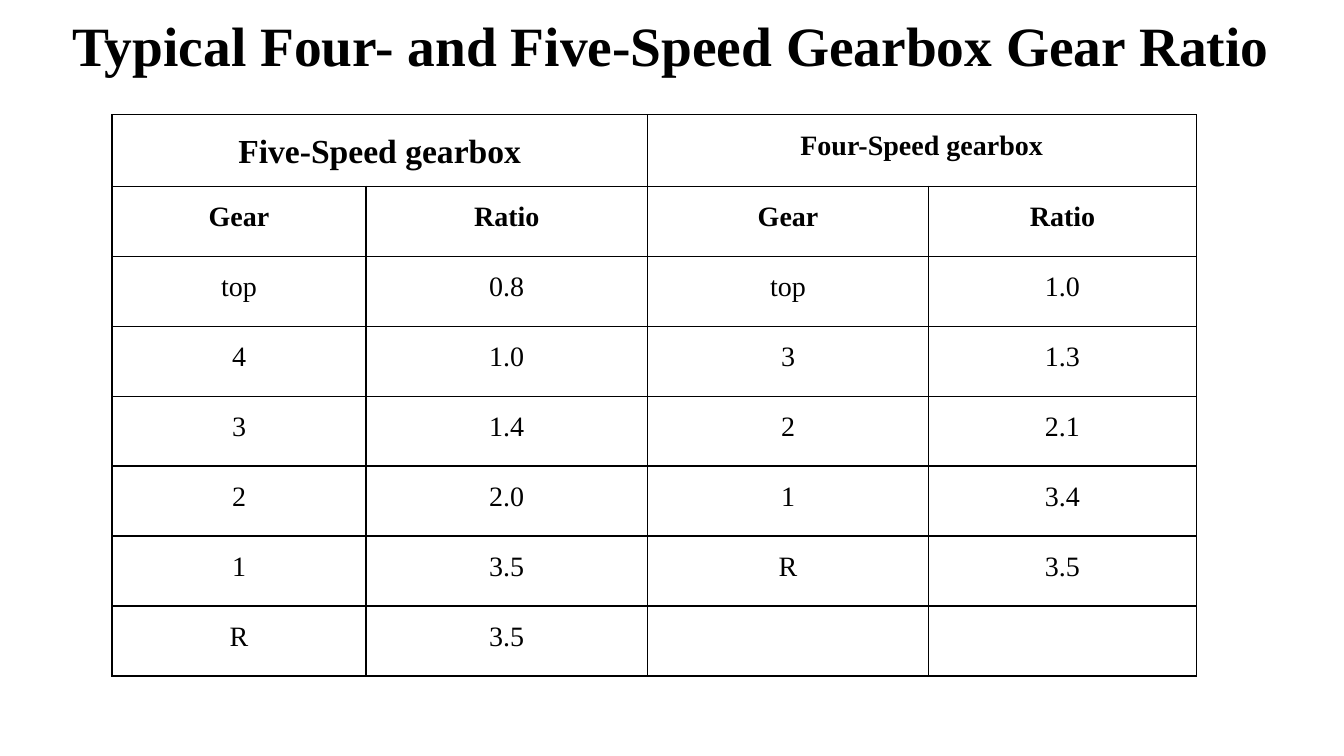
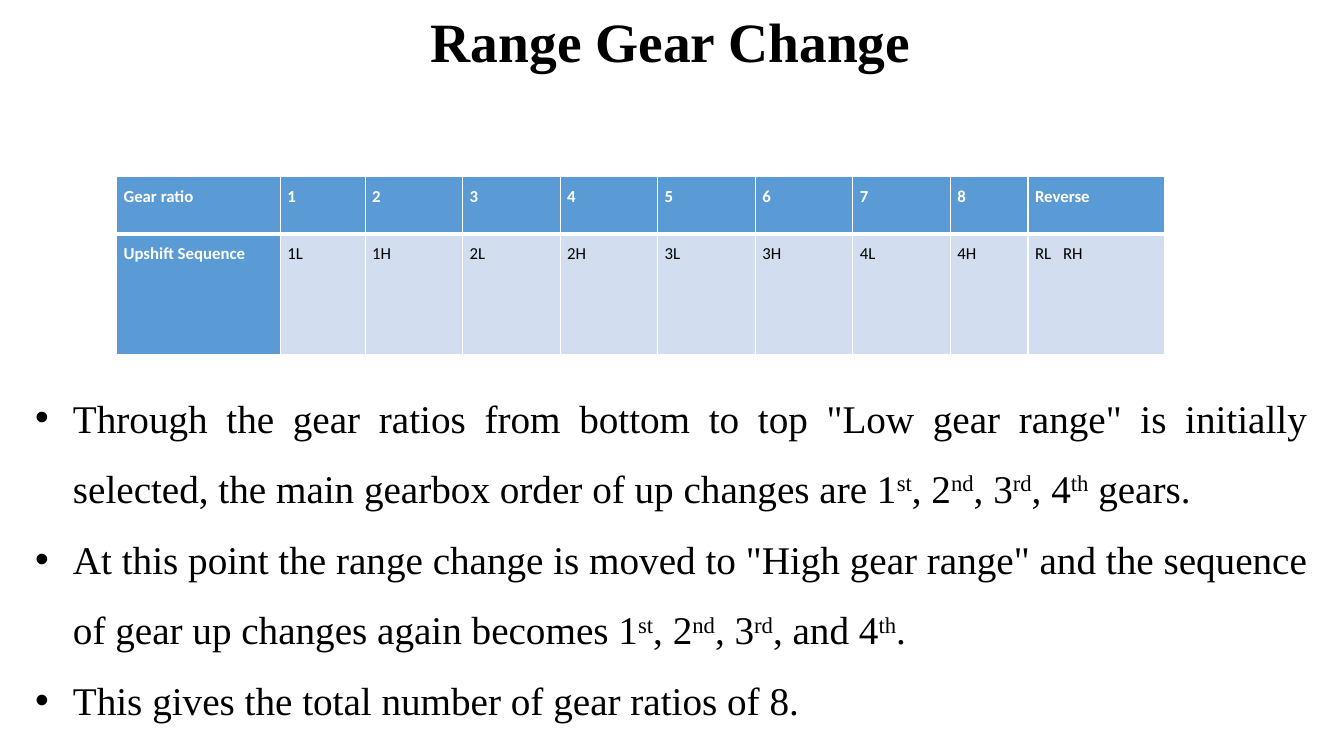
from lxml import etree
from pptx import Presentation
from pptx.dml.color import RGBColor
from pptx.enum.text import MSO_ANCHOR, PP_ALIGN
from pptx.oxml.ns import qn
from pptx.util import Pt

CENTER, JUSTIFY = PP_ALIGN.CENTER, PP_ALIGN.JUSTIFY
MIDDLE = MSO_ANCHOR.MIDDLE
BLACK = RGBColor(0x00, 0x00, 0x00)
WHITE = RGBColor(0xFF, 0xFF, 0xFF)
BLUE = RGBColor(0x5B, 0x9B, 0xD5)
PALE_BLUE = RGBColor(0xD2, 0xDE, 0xEF)
SERIF, SANS = "Times New Roman", "Calibri"
BLANK_LAYOUT = 6

TITLE = {"name": SERIF, "size": Pt(39.6), "bold": True, "color": BLACK}
BODY = {"name": SERIF, "size": Pt(28), "bold": False, "color": BLACK}
RATIO = {**BODY, "size": Pt(20)}
RATIO_HEAD = {**RATIO, "bold": True}
RATIO_MAIN_HEAD = {**RATIO_HEAD, "size": Pt(24)}
SHIFT = {"name": SANS, "size": Pt(12), "bold": False, "color": BLACK}
SHIFT_HEAD = {**SHIFT, "bold": True, "color": WHITE}

CENTERED = {"alignment": CENTER, "line_spacing": 1.5}
JUSTIFIED = {"alignment": JUSTIFY, "line_spacing": 1.5}
SHIFT_PARAGRAPH = {**JUSTIFIED, "space_after": Pt(10)}
CELL_MARGINS = {"margin_left": Pt(5), "margin_right": Pt(5),
                "margin_top": 0, "margin_bottom": 0}

GEAR_RATIOS = [
    ["Five-Speed gearbox", "", "Four-Speed gearbox", ""],
    ["Gear", "Ratio", "Gear", "Ratio"],
    ["top", "0.8", "top", "1.0"],
    ["4", "1.0", "3", "1.3"],
    ["3", "1.4", "2", "2.1"],
    ["2", "2.0", "1", "3.4"],
    ["1", "3.5", "R", "3.5"],
    ["R", "3.5", "", ""],
]
UPSHIFTS = [
    ["Gear ratio", "1", "2", "3", "4", "5", "6", "7", "8", "Reverse"],
    ["Upshift Sequence", "1L", "1H", "2L", "2H", "3L", "3H", "4L", "4H", "RL\tRH"],
]
RANGE_POINTS = [
    'Through the gear ratios from bottom to top "Low gear range" is initially '
    "selected, the main gearbox order of up changes are "
    "1^st^, 2^nd^, 3^rd^, 4^th^ gears.",
    'At this point the range change is moved to "High gear range" and the '
    "sequence of gear up changes again becomes "
    "1^st^, 2^nd^, 3^rd^, and 4^th^.",
    "This gives the total number of gear ratios of 8.",
]


def apply(target, values):
    for key, value in values.items():
        if key == "color":
            target.color.rgb = value
        else:
            setattr(target, key, value)


def write(paragraph, text, font, layout):
    """Fill a paragraph; text between carets is superscript."""
    apply(paragraph, layout)
    for index, part in enumerate(text.split("^")):
        if part:
            run = paragraph.add_run()
            run.text = part
            apply(run.font, font)
            if index % 2:
                run.font._element.set("baseline", "30000")


def add_bullet(paragraph, indent):
    properties = paragraph._p.get_or_add_pPr()
    properties.set("marL", str(indent))
    properties.set("indent", str(-indent))
    etree.SubElement(properties, qn("a:buFont"), typeface="Arial")
    etree.SubElement(properties, qn("a:buChar"), char="•")


def add_tab_stop(paragraph, position):
    stops = etree.SubElement(paragraph._p.get_or_add_pPr(), qn("a:tabLst"))
    etree.SubElement(stops, qn("a:tab"), pos=str(position), algn="l")


def set_borders(cell, color, bottom=1):
    properties = cell._tc.get_or_add_tcPr()
    widths = {"a:lnL": 1, "a:lnR": 1, "a:lnT": 1, "a:lnB": bottom}
    for index, (side, width) in enumerate(widths.items()):
        line = etree.Element(qn(side), w=str(Pt(width)))
        fill = etree.SubElement(line, qn("a:solidFill"))
        etree.SubElement(fill, qn("a:srgbClr"), val=str(color))
        properties.insert(index, line)


def add_text_box(slide, left, top, width, height):
    frame = slide.shapes.add_textbox(Pt(left), Pt(top), Pt(width), Pt(height)).text_frame
    frame.word_wrap = True
    return frame


def add_title(slide, text, top, height):
    frame = add_text_box(slide, 7.5, top, 943, height)
    frame.vertical_anchor = MIDDLE
    write(frame.paragraphs[0], text, TITLE, {"alignment": CENTER, "line_spacing": 0.9})


def add_grid(slide, left, top, columns, rows):
    table = slide.shapes.add_table(len(rows), len(columns), Pt(left), Pt(top),
                                   Pt(sum(columns)), Pt(sum(rows))).table
    for column, width in zip(table.columns, columns):
        column.width = Pt(width)
    for row, height in zip(table.rows, rows):
        row.height = Pt(height)
    for cell in table.iter_cells():
        apply(cell, CELL_MARGINS)
    return table


def add_ratio_table(slide):
    table = add_grid(slide, 80, 82, [181.5, 201, 201, 191], [51] + [50] * 7)
    for r, values in enumerate(GEAR_RATIOS):
        for c, value in enumerate(values):
            cell = table.cell(r, c)
            set_borders(cell, BLACK)
            cell.fill.background()
            font = RATIO_HEAD if r < 2 else RATIO
            if (r, c) == (0, 0):
                font = RATIO_MAIN_HEAD
            write(cell.text_frame.paragraphs[0], value, font, CENTERED)
    for c in (0, 2):
        table.cell(0, c).merge(table.cell(0, c + 1))


def add_upshift_table(slide):
    columns = [117, 60.5] + [69.7] * 6 + [55.5, 97.5]
    table = add_grid(slide, 83.3, 126, columns, [41, 86])
    for r, values in enumerate(UPSHIFTS):
        for c, value in enumerate(values):
            cell = table.cell(r, c)
            heading = r == 0 or c == 0
            set_borders(cell, WHITE, bottom=3 if r == 0 else 1)
            cell.fill.solid()
            cell.fill.fore_color.rgb = BLUE if heading else PALE_BLUE
            paragraph = cell.text_frame.paragraphs[0]
            if "\t" in value:
                add_tab_stop(paragraph, Pt(20))
            write(paragraph, value, SHIFT_HEAD if heading else SHIFT, SHIFT_PARAGRAPH)


def add_range_points(slide):
    frame = add_text_box(slide, 18, 261, 923, 270)
    for index, point in enumerate(RANGE_POINTS):
        paragraph = frame.add_paragraph() if index else frame.paragraphs[0]
        add_bullet(paragraph, Pt(27))
        write(paragraph, point, BODY, JUSTIFIED)


def main():
    deck = Presentation()
    deck.slide_width, deck.slide_height = Pt(960), Pt(540)
    layout = deck.slide_layouts[BLANK_LAYOUT]

    ratios = deck.slides.add_slide(layout)
    add_title(ratios, "Typical Four- and Five-Speed Gearbox Gear Ratio", 7, 55)
    add_ratio_table(ratios)

    range_change = deck.slides.add_slide(layout)
    add_title(range_change, "Range Gear Change", 7, 50)
    add_upshift_table(range_change)
    add_range_points(range_change)

    deck.save("out.pptx")


if __name__ == "__main__":
    main()
